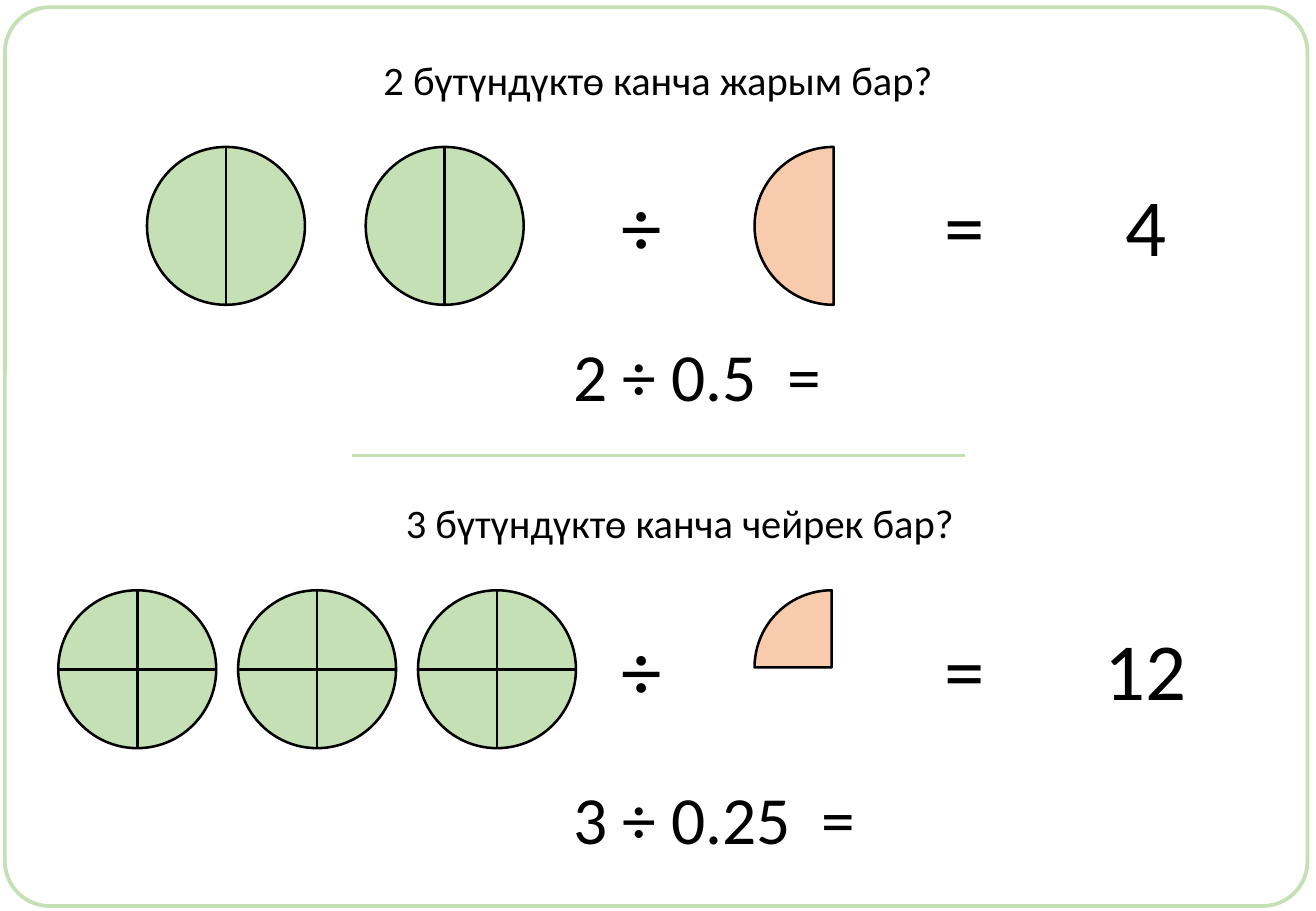
"""Build a slide that divides whole circles into halves and quarters."""
from dataclasses import dataclass

from lxml import etree
from pptx import Presentation
from pptx.dml.color import RGBColor
from pptx.enum.shapes import MSO_CONNECTOR, MSO_SHAPE
from pptx.enum.text import MSO_ANCHOR, MSO_AUTO_SIZE, PP_ALIGN
from pptx.oxml.ns import qn
from pptx.util import Inches, Pt

ELLIPSE, PIE, ROUNDED = MSO_SHAPE.OVAL, MSO_SHAPE.PIE, MSO_SHAPE.ROUNDED_RECTANGLE
STRAIGHT = MSO_CONNECTOR.STRAIGHT
LEFT, CENTER = PP_ALIGN.LEFT, PP_ALIGN.CENTER
TOP = MSO_ANCHOR.TOP
NO_AUTOFIT = MSO_AUTO_SIZE.NONE

COLUMNS, ROWS = 108.3, 75
CIRCLE = 13
HALF_TURN, QUARTER_TURN = 108, 54
THREE_QUARTER_TURN = 162


@dataclass(frozen=True)
class Theme:
    """Colours, font, type sizes and line widths."""
    green: RGBColor = RGBColor(0xC5, 0xE0, 0xB4)
    peach: RGBColor = RGBColor(0xF8, 0xCB, 0xAD)
    black: RGBColor = RGBColor(0, 0, 0)
    font: str = "Calibri"
    question: int = 24
    equation: int = 40
    symbol: int = 48
    outline: float = 1.5
    rule: float = 2.25


@dataclass(frozen=True)
class Problem:
    """One division: its words, its wholes and the part that divides them."""
    top: float
    question: str
    question_left: float
    wholes: int
    first_whole: float
    pitch: float
    quarters: bool
    part_size: float
    equation: str
    answer: str
    answer_width: float


THEME = Theme()
PROBLEMS = (
    Problem(4, "2 бүтүндүктө канча жарым бар?", 30.3, 2, 12.1, 18, False, 13,
            "2 ÷ 0.5  =", "4", 5.4),
    Problem(40.5, "3 бүтүндүктө канча чейрек бар?", 32.1, 3, 4.8, 14.8, True, 12.7,
            "3 ÷ 0.25  =", "12", 8.9),
)


def cells(count):
    """Return the length of a number of grid cells."""
    return Inches(count / 10)


def place(shape, left, top, width, height):
    """Put a shape on the grid."""
    shape.left, shape.top = cells(left), cells(top)
    shape.width, shape.height = cells(width), cells(height)


def write(box, text, size, align=CENTER):
    """Fill a text box or placeholder with one styled line."""
    frame = box.text_frame
    frame.text = text
    frame.word_wrap = False
    frame.auto_size = NO_AUTOFIT
    frame.vertical_anchor = TOP
    para = frame.paragraphs[0]
    para.alignment = align
    para.font.name = THEME.font
    para.font.size = Pt(size)
    para.font.color.rgb = THEME.black


def add_label(page, text, size, left, top, width, height, align=CENTER):
    """Add a text box holding one line."""
    box = page.shapes.add_textbox(0, 0, 0, 0)
    place(box, left, top, width, height)
    write(box, text, size, align)


def add_symbol(page, text, center, top, width):
    """Add a large sign or number centred on a column."""
    add_label(page, text, THEME.symbol, center - width / 2, top, width, 9.1)


def add_figure(page, kind, left, top, width, height, color):
    """Add a filled shape with a black outline."""
    shape = page.shapes.add_shape(kind, 0, 0, 0, 0)
    place(shape, left, top, width, height)
    shape.shadow.inherit = False
    shape.fill.solid()
    shape.fill.fore_color.rgb = color
    shape.line.color.rgb = THEME.black
    shape.line.width = Pt(THEME.outline)
    return shape


def add_line(page, start, end, color, width):
    """Add a straight line between two grid points."""
    line = page.shapes.add_connector(STRAIGHT, *map(cells, start + end))
    line.line.color.rgb = color
    line.line.width = Pt(width)
    etree.SubElement(line._element.spPr, qn("a:effectLst"))


def add_whole(page, left, top, quarters):
    """Add a circle cut into halves or quarters."""
    add_figure(page, ELLIPSE, left, top, CIRCLE, CIRCLE, THEME.green)
    middle_x, middle_y = left + CIRCLE / 2, top + CIRCLE / 2
    cuts = [((middle_x, top), (middle_x, top + CIRCLE))]
    if quarters:
        cuts.append(((left, middle_y), (left + CIRCLE, middle_y)))
    for start, end in cuts:
        add_line(page, start, end, THEME.black, THEME.outline)


def add_part(page, left, top, size, quarters):
    """Add the half or quarter that divides the wholes."""
    part = add_figure(page, PIE, left, top, size, size, THEME.peach)
    part.adjustments[0] = HALF_TURN if quarters else QUARTER_TURN
    part.adjustments[1] = THREE_QUARTER_TURN


def add_problem(page, problem):
    """Add the figures, signs and equation below a question."""
    figure_top, symbol_top = problem.top + 8.1, problem.top + 10
    for index in range(problem.wholes):
        left = problem.first_whole + index * problem.pitch
        add_whole(page, left, figure_top, problem.quarters)
    add_part(page, 62.1, figure_top, problem.part_size, problem.quarters)
    add_symbol(page, "÷", 52.8, symbol_top, 5.4)
    add_symbol(page, "=", 79.4, symbol_top, 5.4)
    add_symbol(page, problem.answer, 94.3, symbol_top, problem.answer_width)
    add_label(page, problem.equation, THEME.equation,
              46.2, problem.top + 23, 26, 7.7, LEFT)


def add_frame(page):
    """Add the rounded border of the page."""
    frame = add_figure(page, ROUNDED, 0.4, 0.6, 107.2, 74, THEME.green)
    frame.adjustments[0] = 0.05
    frame.fill.background()
    frame.line.color.rgb = THEME.green
    frame.line.width = Pt(THEME.rule)


def main():
    """Build and save the deck."""
    deck = Presentation()
    deck.slide_width, deck.slide_height = cells(COLUMNS), cells(ROWS)
    page = deck.slides.add_slide(deck.slide_layouts[5])
    add_frame(page)
    first, second = PROBLEMS
    title = page.shapes.title
    place(title, first.question_left, first.top, 47.7, 5)
    write(title, first.question, THEME.question)
    add_label(page, second.question, THEME.question,
              second.question_left, second.top, 47.7, 5)
    for problem in PROBLEMS:
        add_problem(page, problem)
    add_line(page, (29, ROWS / 2), (79.4, ROWS / 2), THEME.green, THEME.rule)
    deck.save("out.pptx")


if __name__ == "__main__":
    main()
